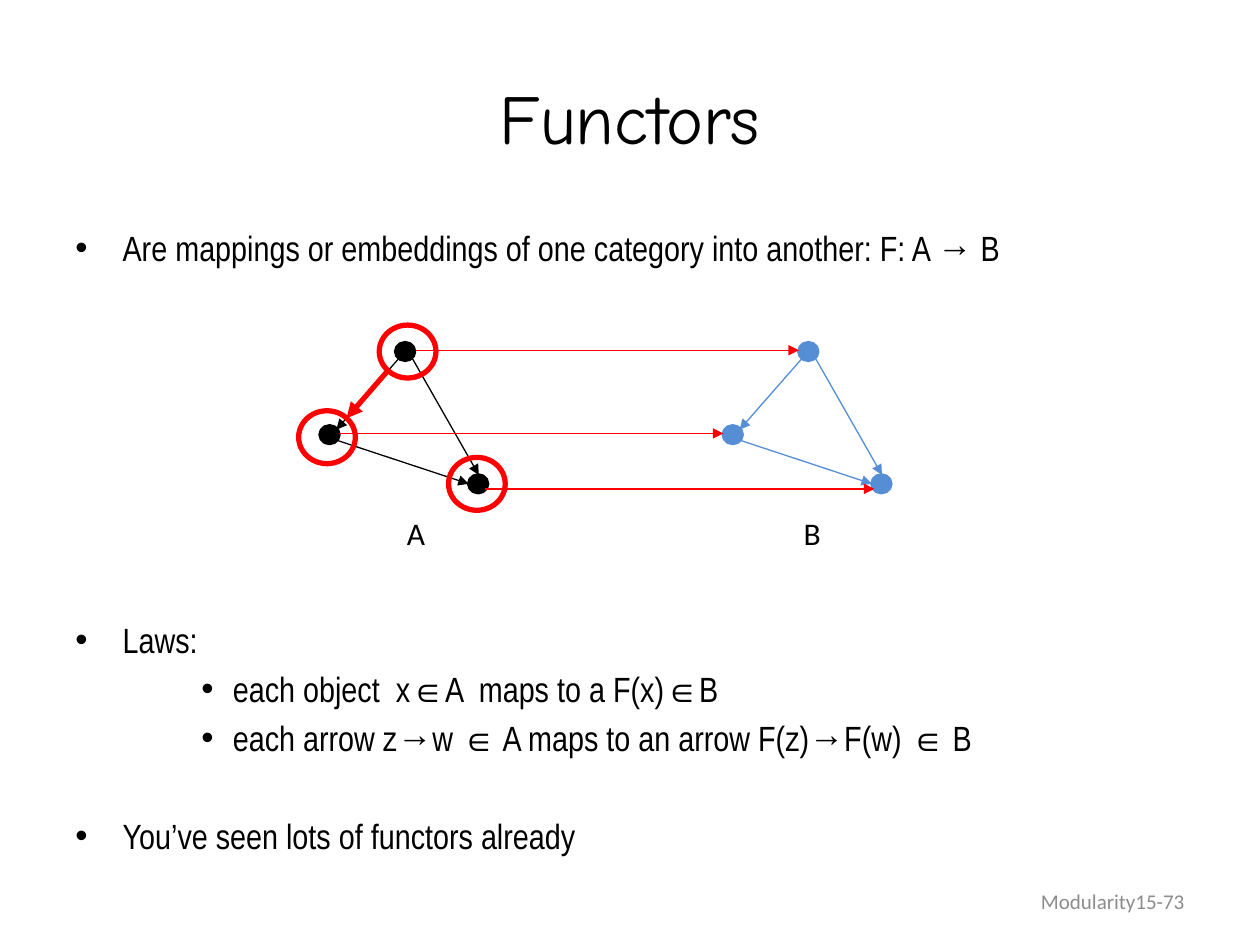
from lxml import etree
from pptx import Presentation
from pptx.dml.color import RGBColor
from pptx.enum.shapes import MSO_CONNECTOR, MSO_SHAPE
from pptx.enum.text import MSO_ANCHOR, PP_ALIGN
from pptx.oxml.ns import qn
from pptx.util import Inches, Pt

OVAL, STRAIGHT = MSO_SHAPE.OVAL, MSO_CONNECTOR.STRAIGHT
TOP, MIDDLE = MSO_ANCHOR.TOP, MSO_ANCHOR.MIDDLE
LEFT, CENTER, RIGHT = PP_ALIGN.LEFT, PP_ALIGN.CENTER, PP_ALIGN.RIGHT
BLACK = RGBColor(0x00, 0x00, 0x00)
BLUE = RGBColor(0x55, 0x8E, 0xD5)
RED = RGBColor(0xFF, 0x00, 0x00)
GREY = RGBColor(0x8C, 0x8C, 0x8C)

deck = Presentation()
deck.slide_width, deck.slide_height = Inches(10), Inches(7.5)
# Grid of 100 columns by 75 rows
COL, ROW = deck.slide_width / 100, deck.slide_height / 75
slide = deck.slides.add_slide(deck.slide_layouts[6])


def place(*cells):
    """Turn alternating columns and rows into lengths."""
    return [round(cell * (ROW if i % 2 else COL)) for i, cell in enumerate(cells)]


def add_arrow(parent, ends, color, width):
    arrow = parent.shapes.add_connector(STRAIGHT, *place(*ends))
    arrow.line.color.rgb = color
    arrow.line.width = Pt(width)
    etree.SubElement(arrow.line._get_or_add_ln(), qn("a:tailEnd"), type="triangle")
    etree.SubElement(arrow._element.spPr, qn("a:effectLst"))


# Title, category names and footer
labels = [
    ("Functors", (5, 3, 90, 12.5), "Comic Neue", 40, BLACK, CENTER, MIDDLE, True),
    ("A", (31.3, 40.3, 3.5, 4), "Calibri", 18, BLACK, LEFT, TOP, False),
    ("B", (62.8, 40.3, 3.5, 4), "Calibri", 18, BLACK, LEFT, TOP, False),
    ("Modularity15-73", (71.7, 69.5, 23.3, 4), "Calibri", 12, GREY, RIGHT, MIDDLE, True),
]
for words, cells, font, size, color, align, anchor, wrap in labels:
    frame = slide.shapes.add_textbox(*place(*cells)).text_frame
    frame.word_wrap, frame.vertical_anchor = wrap, anchor
    label = frame.paragraphs[0]
    label.text, label.alignment = words, align
    label.font.name, label.font.size = font, Pt(size)
    label.font.color.rgb = color

# Bulleted statements: words, level, indent, hanging, space before
LINE, GAP = 28, 4  # points from one line to the next, and between paragraphs
statements = [
    ("Are mappings or embeddings of one category into another: F: A → B", 0, 3.75, GAP),
    ("Laws:", 0, 3.75, GAP + 7 * LINE),
    ("each object  x∈A  maps to a F(x)∈B", 2, 2.5, GAP),
    ("each arrow z→w ∈ A maps to an arrow F(z)→F(w) ∈ B", 2, 2.5, GAP),
    ("You’ve seen lots of functors already", 0, 3.75, GAP + LINE),
]
body = slide.shapes.add_textbox(*place(5, 17.5, 90, 49.5)).text_frame
body.word_wrap = True
for number, (words, level, hanging, before) in enumerate(statements):
    statement = body.add_paragraph() if number else body.paragraphs[0]
    statement.text, statement.level = words, level
    statement.space_before = Pt(before)
    statement.font.name, statement.font.size = "Arial Narrow", Pt(20)
    statement.font.color.rgb = BLACK
    properties = statement._p.get_or_add_pPr()
    margin = 12.5 if level else hanging
    for key, cells in {"marL": margin, "indent": -hanging}.items():
        properties.set(key, str(round(cells * COL)))
    bullet_font = etree.Element(qn("a:buFont"), typeface="Arial")
    bullet = etree.Element(qn("a:buChar"), char="•")
    properties.find(qn("a:spcBef")).addnext(bullet_font)
    bullet_font.addnext(bullet)

# The two categories: the same triangle of objects and arrows
objects = [(31.4, 27.2), (25.4, 33.8), (37.2, 37.7)]
morphisms = [(31.7, 28.4, 26.7, 34.1), (25.4, 34.5, 37.2, 38.4), (32.7, 28.4, 38, 37.7)]
for shift, color in ((0, BLACK), (32, BLUE)):
    category = slide.shapes.add_group_shape()
    for x, y in objects:
        dot = category.shapes.add_shape(OVAL, *place(x + shift, y, 1.5, 1.4))
        dot.shadow.inherit = False
        dot.fill.solid()
        dot.fill.fore_color.rgb = dot.line.color.rgb = color
        dot.line.width = Pt(2)
    for x1, y1, x2, y2 in morphisms:
        add_arrow(category, (x1 + shift, y1, x2 + shift, y2), color, 0.75)

# Functor arrows from A to B
functor = slide.shapes.add_group_shape()
for x1, x2, y in ((33, 63.4, 27.8), (26.9, 57.4, 34.4), (38.5, 69.4, 38.8)):
    add_arrow(functor, (x1, y, x2, y), RED, 0.75)

# Rings around the objects of A, and the highlighted arrow
for x, y in ((35.6, 36.3), (30.1, 25.8), (23.7, 32.6)):
    ring = slide.shapes.add_shape(OVAL, *place(x, y, 4.5, 4.2))
    ring.shadow.inherit = False
    ring.fill.background()
    ring.line.color.rgb = RED
    ring.line.width = Pt(3)
add_arrow(slide, (30.8, 29.4, 27.5, 33.2), RED, 3)

deck.save("out.pptx")
